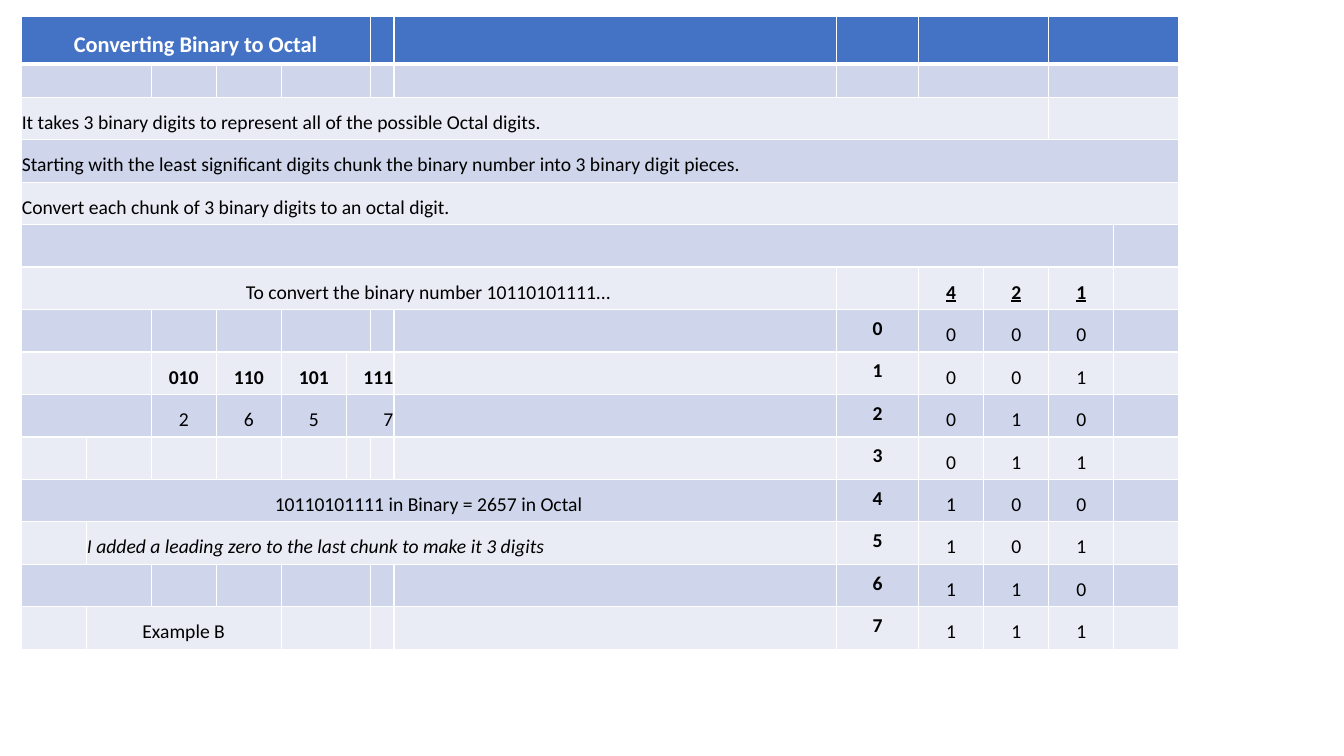
from lxml.etree import SubElement
from pptx import Presentation
from pptx.dml.color import RGBColor
from pptx.enum.text import MSO_ANCHOR, PP_ALIGN
from pptx.oxml.ns import qn
from pptx.util import Cm, Pt

WHITE, BLACK, BLUE = "FFFFFF", "000000", "4472C4"
BANDS = ("E9EBF5", "CFD5EA")
DIGIT = 1.64
COLS = [DIGIT] * 5 + [0.6, 0.6, 11.15, 2.07] + [DIGIT] * 4
ROWS = [1.19, 0.84] + [1.07] * 13
PLACES_ROW, CHUNKS_ROW = 6, 8
MERGES = {
    0: [(0, 5), (9, 10), (11, 12)],
    1: [(0, 1), (4, 5), (9, 10), (11, 12)],
    2: [(0, 10), (11, 12)],
    3: [(0, 12)],
    4: [(0, 12)],
    5: [(0, 11)],
    6: [(0, 7)],
    7: [(0, 1), (4, 5)],
    8: [(0, 1), (5, 6)],
    9: [(0, 1), (5, 6)],
    11: [(0, 7)],
    12: [(1, 7)],
    13: [(0, 1), (4, 5)],
    14: [(1, 3), (4, 5)],
}
STEPS = [
    "It takes 3 binary digits to represent all of the possible Octal digits.",
    "Starting with the least significant digits chunk the binary number into 3 binary digit pieces.",
    "Convert each chunk of 3 binary digits to an octal digit.",
]
CHUNKS = ["010", "110", "101", "111"]


def rgb(value):
    """Turn a hex string into a colour."""
    return RGBColor.from_string(value)


def add_borders(cell, top, bottom):
    """Draw white borders with the given top and bottom weights."""
    tcPr = cell._tc.get_or_add_tcPr()
    for side, weight in zip("LRTB", (1, 1, top, bottom)):
        ln = SubElement(tcPr, qn(f"a:ln{side}"), w=str(Pt(weight)))
        fill = SubElement(ln, qn("a:solidFill"))
        SubElement(fill, qn("a:srgbClr"), val=WHITE)


def style_cell(cell, row):
    """Give a cell its borders, banded fill and margins."""
    add_borders(cell, 3 if row == 1 else 1, 3 if row == 0 else 1)
    cell.fill.solid()
    cell.fill.fore_color.rgb = rgb(BANDS[row % 2] if row else BLUE)
    cell.margin_left = cell.margin_right = cell.margin_top = Cm(0.02)
    cell.margin_bottom = Cm(0)


def write(cell, text, align=PP_ALIGN.CENTER, anchor=MSO_ANCHOR.BOTTOM,
          size=14, color=BLACK, bold=False, italic=False, underline=False):
    """Put formatted text in a cell."""
    cell.margin_bottom = Cm(0.13)
    cell.vertical_anchor = anchor
    p = cell.text_frame.paragraphs[0]
    p.text = text
    p.alignment = align
    font = p.runs[0].font
    font.name, font.size, font.color.rgb = "Calibri", Pt(size), rgb(color)
    font.bold, font.italic, font.underline = bold, italic, underline


def add_grid(s):
    """Add the empty banded table with its merged cells."""
    table = s.shapes.add_table(len(ROWS), len(COLS), Cm(0.53), Cm(0.42),
                               Cm(sum(COLS)), Cm(sum(ROWS))).table
    for column, width in zip(table.columns, COLS):
        column.width = Cm(width)
    for i, height in enumerate(ROWS):
        table.rows[i].height = Cm(height)
        for j in range(len(COLS)):
            style_cell(table.cell(i, j), i)
        for first, last in MERGES.get(i, []):
            table.cell(i, first).merge(table.cell(i, last))
    return table


def write_explanation(table):
    """Write the title, the steps and the closing remarks."""
    write(table.cell(0, 0), "Converting Binary to Octal", size=16, color=WHITE, bold=True)
    for row, step in enumerate(STEPS, start=2):
        write(table.cell(row, 0), step, PP_ALIGN.LEFT)
    write(table.cell(PLACES_ROW, 0), "To convert the binary number 10110101111...")
    write(table.cell(11, 0), "10110101111 in Binary = 2657 in Octal")
    write(table.cell(12, 1), "I added a leading zero to the last chunk to make it 3 digits",
          PP_ALIGN.LEFT, italic=True)
    write(table.cell(14, 1), "Example B")


def write_chunks(table):
    """Write each binary chunk above its octal digit."""
    for col, chunk in enumerate(CHUNKS, start=2):
        align = PP_ALIGN.RIGHT if col == 5 else PP_ALIGN.CENTER
        write(table.cell(CHUNKS_ROW, col), chunk, align, bold=True)
        write(table.cell(CHUNKS_ROW + 1, col), str(int(chunk, 2)), align)


def write_octal_digits(table):
    """Write the place values and the bits of every octal digit."""
    for col, place in enumerate("421", start=9):
        write(table.cell(PLACES_ROW, col), place, bold=True, underline=True)
    for digit in range(8):
        row = PLACES_ROW + 1 + digit
        write(table.cell(row, 8), str(digit), anchor=MSO_ANCHOR.MIDDLE, bold=True)
        for col, bit in enumerate(f"{digit:03b}", start=9):
            write(table.cell(row, col), bit)


def main():
    """Build and save the slide."""
    prs = Presentation()
    prs.slide_width, prs.slide_height = Cm(33.87), Cm(19.05)
    s = prs.slides.add_slide(prs.slide_layouts[6])
    table = add_grid(s)
    write_explanation(table)
    write_chunks(table)
    write_octal_digits(table)
    prs.save("out.pptx")


main()
